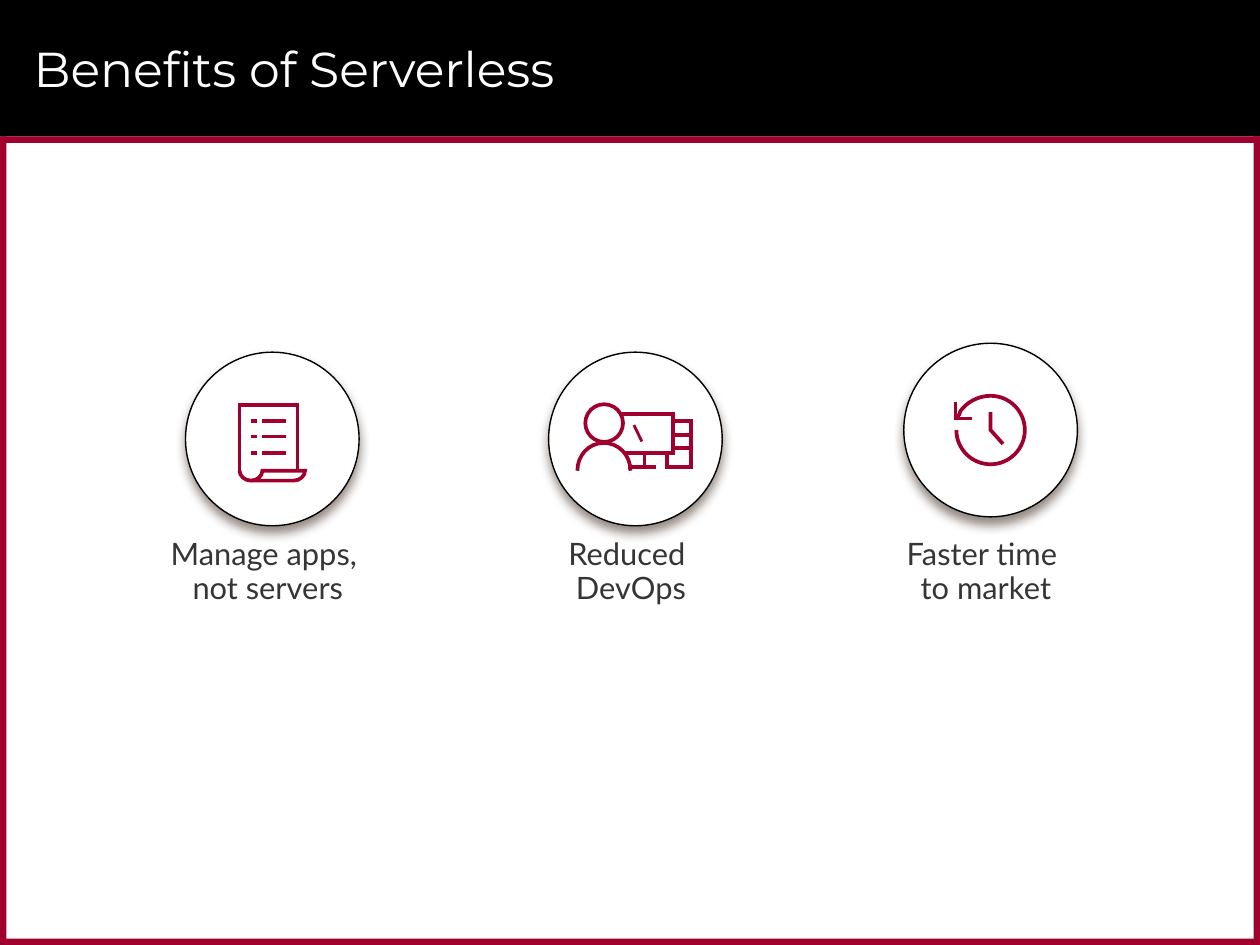
from lxml.etree import SubElement
from pptx import Presentation
from pptx.dml.color import RGBColor
from pptx.enum.shapes import MSO_CONNECTOR as Connector, MSO_SHAPE as Shape
from pptx.enum.text import MSO_ANCHOR as Anchor, MSO_AUTO_SIZE as AutoSize, PP_ALIGN as Align
from pptx.oxml.ns import qn
from pptx.util import Cm, Pt

COLORS = {"black": "000000", "white": "FFFFFF", "crimson": "9F002D",
          "text": "353535", "shadow": "4E3B30"}
PAGE_W, PAGE_H = 25.4, 19.05
HEADER_H, BORDER = 2.75, 0.13
DISC = 3.5
STROKE, THIN = 2.13, 1.63
LABEL_TOP, LABEL_H = 10.57, 1.98

TITLE = "Benefits of Serverless"

# Icon strokes are in cm from the disc centre. A pair is a straight step to
# that point; six numbers are a Bézier step (two controls, then the end).
SCROLL = [
    [(-0.66, 0.64), (-0.66, 0.74, -0.56, 0.84, -0.43, 0.84),
     (-0.30, 0.84, -0.20, 0.74, -0.20, 0.64), (0.66, 0.64),
     (0.66, 0.74, 0.56, 0.84, 0.43, 0.84), (-0.43, 0.84)],
    [(-0.66, 0.64), (-0.66, -0.69), (0.51, -0.69), (0.51, 0.64)],
] + [[(left, y), (right, y)]
     for left, right in ((-0.20, 0.28), (-0.43, -0.30))
     for y in (-0.36, -0.05, 0.28)]
OPERATOR = [
    [(-0.10, 0.64), (-0.10, 0.33, -0.33, 0.08, -0.64, 0.08),
     (-0.94, 0.08, -1.17, 0.33, -1.17, 0.64)],
    [(-0.20, 0.28), (0.76, 0.28), (0.76, -0.51), (-0.30, -0.51)],
    [(0.18, 0.56), (0.18, 0.28)],
    [(0.76, -0.36), (1.12, -0.36), (1.12, 0.56), (0.64, 0.56), (0.64, 0.28)],
    [(0.41, 0.56), (-0.15, 0.56)],
    [(1.12, -0.08), (0.76, -0.08)],
    [(1.12, 0.18), (0.76, 0.18)],
]
CLOCK = [
    [(-0.66, -0.25), (-0.66, -0.25, -0.66, -0.25, -0.66, -0.28),
     (-0.64, -0.30, -0.61, -0.33, -0.61, -0.38),
     (-0.48, -0.56, -0.25, -0.69, 0, -0.69),
     (0.38, -0.69, 0.69, -0.38, 0.69, 0), (0.69, 0.38, 0.38, 0.69, 0, 0.69),
     (-0.38, 0.69, -0.69, 0.38, -0.69, 0)],
    [(0, -0.36), (0, 0), (0.25, 0.28)],
    [(-0.38, -0.23), (-0.71, -0.23), (-0.71, -0.56)],
]
BENEFITS = [
    {"label": "Manage apps, \vnot servers", "box": (2.72, 5.56),
     "centre": (5.49, 8.85), "strokes": SCROLL},
    {"label": "Reduced \vDevOps", "box": (10.13, 5.38),
     "centre": (12.81, 8.85), "strokes": OPERATOR,
     "head": (-1.01, -0.7, 0.76), "glare": [(-0.03, -0.28), (0.13, 0.05)]},
    {"label": "Faster time \vto market", "box": (17.42, 5.11),
     "centre": (19.97, 8.67), "strokes": CLOCK},
]


def color(name):
    return RGBColor.from_string(COLORS[name])


def set_line(shape, name, width):
    shape.line.color.rgb = color(name)
    shape.line.width = Pt(width)


def add_preset(shapes, kind, left, top, width, height, fill=None):
    shape = shapes.add_shape(kind, Cm(left), Cm(top), Cm(width), Cm(height))
    shape.shadow.inherit = False
    if fill:
        shape.fill.solid()
        shape.fill.fore_color.rgb = color(fill)
    else:
        shape.fill.background()
    shape.line.fill.background()
    return shape


def add_text(page, text, left, top, width, height, font, size, fill):
    box = page.shapes.add_textbox(Cm(left), Cm(top), Cm(width), Cm(height))
    frame = box.text_frame
    frame.word_wrap = True
    frame.text = text
    para = frame.paragraphs[0]
    for span in para.runs:
        span.font.name, span.font.size = font, Pt(size)
        span.font.color.rgb = color(fill)
    for line_break in para._p.findall(qn("a:br")):
        props = SubElement(line_break, qn("a:rPr"), sz=str(int(size * 100)))
        SubElement(props, qn("a:latin"), typeface=font)
    return frame


def add_freeform(shapes, points, steps):
    """Draw all points, then merge each Bézier step's three into one curve."""
    builder = shapes.build_freeform(*points[0], scale=1.0)
    builder.add_line_segments(points[1:], close=False)
    shape = builder.convert_to_shape()
    shape.fill.background()
    segments = iter(list(shape._element.iter(qn("a:lnTo"))))
    for step in steps:
        segment = next(segments)
        if len(step) == 6:
            segment.tag = qn("a:cubicBezTo")
            for _ in range(2):
                extra = next(segments)
                segment.append(extra[0])
                extra.getparent().remove(extra)
    return shape


def add_stroke(shapes, centre, stroke, width=STROKE):
    points = [(Cm(centre[0] + step[i]), Cm(centre[1] + step[i + 1]))
              for step in stroke for i in range(0, len(step), 2)]
    if len(points) == 2:
        mark = shapes.add_connector(Connector.STRAIGHT, *points[0], *points[1])
    else:
        mark = add_freeform(shapes, points, stroke[1:])
    set_line(mark, "crimson", width)
    SubElement(mark.line._get_or_add_ln(), qn("a:miter"), lim="800000")
    SubElement(mark._element.spPr, qn("a:effectLst"))


def add_drop_shadow(shape):
    effects = shape._element.spPr.find(qn("a:effectLst"))
    shadow = SubElement(effects, qn("a:outerShdw"), blurRad=str(Pt(6)),
                        dist=str(Pt(4)), dir="5400000", rotWithShape="0")
    tint = SubElement(shadow, qn("a:srgbClr"), val=COLORS["shadow"])
    SubElement(tint, qn("a:alpha"), val="60000")


def add_benefit(page, benefit):
    left, width = benefit["box"]
    frame = add_text(page, benefit["label"], left, LABEL_TOP, width, LABEL_H,
                     "Lato", 17.6, "text")
    frame.auto_size = AutoSize.SHAPE_TO_FIT_TEXT
    frame.margin_left, frame.margin_right = Cm(0.18), Cm(0.38)
    frame.margin_top = frame.margin_bottom = Cm(0.3)
    para = frame.paragraphs[0]
    para.alignment, para.line_spacing, para.space_after = Align.CENTER, 0.9, Pt(4.4)

    icon = page.shapes.add_group_shape().shapes
    x, y = benefit["centre"]
    disc = add_preset(icon, Shape.OVAL, x - DISC / 2, y - DISC / 2, DISC, DISC, "white")
    set_line(disc, "black", 0.79)
    add_drop_shadow(disc)
    if "head" in benefit:
        dx, dy, size = benefit["head"]
        head = add_preset(icon, Shape.OVAL, x + dx, y + dy, size, size)
        set_line(head, "crimson", STROKE)
    for stroke in benefit["strokes"]:
        add_stroke(icon, (x, y), stroke)
    if "glare" in benefit:
        add_stroke(icon, (x, y), benefit["glare"], THIN)


def main():
    deck = Presentation()
    deck.slide_width, deck.slide_height = Cm(PAGE_W), Cm(PAGE_H)
    page = deck.slides.add_slide(deck.slide_layouts[6])

    add_preset(page.shapes, Shape.RECTANGLE, 0, 0, PAGE_W, HEADER_H, "black")
    for top in (HEADER_H, PAGE_H - BORDER):
        add_preset(page.shapes, Shape.RECTANGLE, 0, top, PAGE_W, BORDER, "crimson")
    for left in (0, PAGE_W - BORDER):
        add_preset(page.shapes, Shape.RECTANGLE, left, HEADER_H, BORDER,
                   PAGE_H - HEADER_H, "crimson")

    title = add_text(page, TITLE, 0.43, 0.2, 23.93, 2.34, "Montserrat", 28, "white")
    title.vertical_anchor = Anchor.MIDDLE
    for benefit in BENEFITS:
        add_benefit(page, benefit)
    deck.save("out.pptx")


if __name__ == "__main__":
    main()
